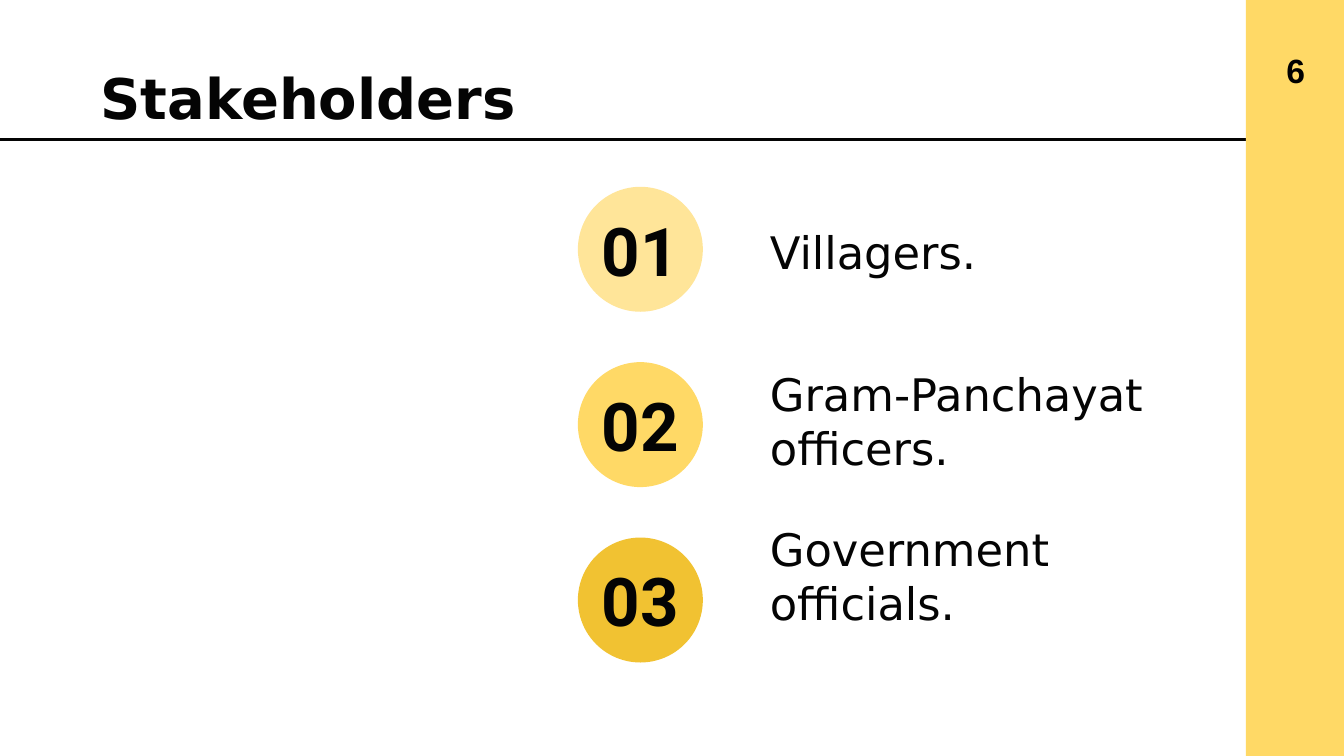
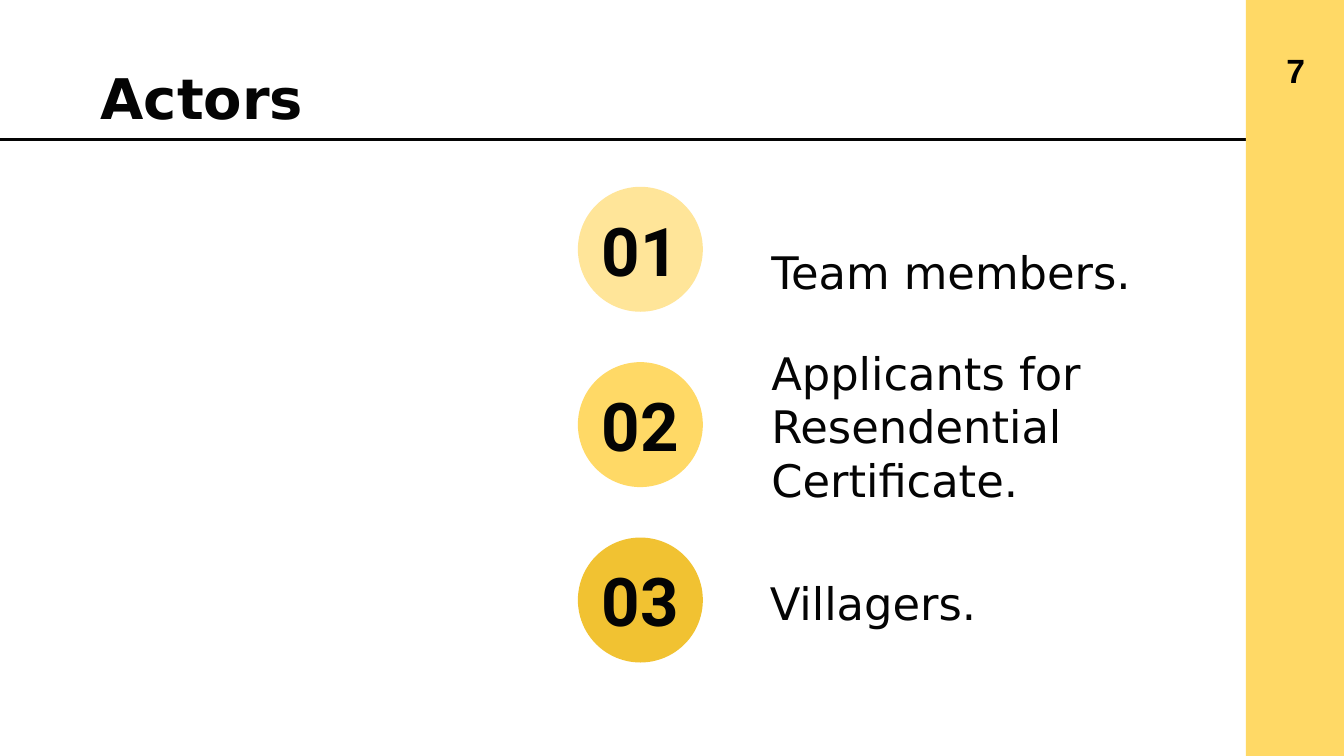
from lxml import etree
from pptx import Presentation
from pptx.dml.color import RGBColor
from pptx.enum import shapes, text
from pptx.oxml.ns import qn
from pptx.util import Inches, Pt

WIDTH = 10
HEIGHT = WIDTH * 9 / 16
BAND_LEFT = 9.27
RULE_Y = 1.04
DOT_LEFT, DOT_SIZE = 4.3, 0.93
FIRST_DOT_TOP, LAST_DOT_TOP = 1.39, 4
NUMBER_WIDTH, NUMBER_HEIGHT = 1.45, 0.63

INK = RGBColor(0x04, 0x04, 0x04)
BLACK = RGBColor(0, 0, 0)
PALE = RGBColor(0xFF, 0xE5, 0x99)
YELLOW = RGBColor(0xFF, 0xD9, 0x66)
GOLD = RGBColor(0xF1, 0xC2, 0x32)
DOT_COLORS = (PALE, YELLOW, GOLD)
DOT_STEP = (LAST_DOT_TOP - FIRST_DOT_TOP) / (len(DOT_COLORS) - 1)

SANS, NUMERAL, PAGE = "DejaVu Sans", "Roboto", "Arial"
TOP, MIDDLE, BOTTOM = (text.MSO_ANCHOR.TOP, text.MSO_ANCHOR.MIDDLE,
                       text.MSO_ANCHOR.BOTTOM)
LEFT, CENTER = text.PP_ALIGN.LEFT, text.PP_ALIGN.CENTER

# Page number, title, and each item's wording with its box
SLIDES = [
    (6, "Stakeholders", [
        ("Villagers.", (5.63, 1.04, 2.88, 1.13)),
        ("Gram-Panchayat officers.", (5.63, 2.46, 3.22, 1.17)),
        ("Government officials.", (5.63, 4, 2.64, 0.78)),
    ]),
    (7, "Actors", [
        ("Team members.", (5.64, 1.19, 2.88, 1.13)),
        ("Applicants for Resendential Certificate.", (5.64, 2.7, 3.45, 1.17)),
        ("Villagers.", (5.63, 4, 2.64, 0.78)),
    ]),
]


class Deck:
    """Holds the presentation, its style and the current slide."""

    def __init__(self):
        self.prs = Presentation()
        self.prs.slide_width = Inches(WIDTH)
        self.prs.slide_height = Inches(HEIGHT)
        self.s = None

    def new_slide(self):
        self.s = self.prs.slides.add_slide(self.prs.slide_layouts[6])

    def shape(self, kind, box, fill):
        sp = self.s.shapes.add_shape(kind, *map(Inches, box))
        sp.shadow.inherit = False
        sp.fill.solid()
        sp.fill.fore_color.rgb = fill
        sp.line.fill.background()

    def rule(self, y, right):
        ln = self.s.shapes.add_connector(
            shapes.MSO_CONNECTOR.STRAIGHT, 0, Inches(y), Inches(right), Inches(y))
        ln.line.color.rgb = INK
        ln.line.width = Pt(1.5)
        etree.SubElement(ln._element.spPr, qn("a:effectLst"))

    def text(self, words, box, *, size=24, font=SANS, color=INK, bold=False,
             align=LEFT, anchor=BOTTOM):
        tf = self.s.shapes.add_textbox(*map(Inches, box)).text_frame
        tf.word_wrap = True
        tf.vertical_anchor = anchor
        tf.margin_left = tf.margin_right = Inches(0.1)
        tf.margin_top = tf.margin_bottom = Inches(0.1)
        p = tf.paragraphs[0]
        p.alignment = align
        r = p.add_run()
        r.text = words
        r.font.name, r.font.size, r.font.bold = font, Pt(size), bold
        r.font.color.rgb = color

    def title(self, words):
        self.text(words, (0.65, 0.37, 4.75, 0.74), size=30, bold=True, anchor=TOP)

    def numbered_dot(self, index):
        top = FIRST_DOT_TOP + index * DOT_STEP
        self.shape(shapes.MSO_SHAPE.OVAL, (DOT_LEFT, top, DOT_SIZE, DOT_SIZE),
                   DOT_COLORS[index])
        box = (DOT_LEFT + (DOT_SIZE - NUMBER_WIDTH) / 2,
               top + (DOT_SIZE - NUMBER_HEIGHT) / 2, NUMBER_WIDTH, NUMBER_HEIGHT)
        self.text(f"{index + 1:02}", box, size=36, font=NUMERAL, bold=True,
                  align=CENTER, anchor=MIDDLE)

    def page_band(self, number):
        self.shape(shapes.MSO_SHAPE.RECTANGLE,
                   (BAND_LEFT, 0, WIDTH - BAND_LEFT, HEIGHT), YELLOW)
        self.text(str(number), (9.44, 0.31, 0.4, 0.43), size=18, font=PAGE,
                  color=BLACK, bold=True, align=CENTER, anchor=MIDDLE)


def main():
    deck = Deck()
    for number, title, items in SLIDES:
        deck.new_slide()
        deck.rule(RULE_Y, WIDTH)
        deck.title(title)
        for i, (words, box) in enumerate(items):
            deck.numbered_dot(i)
            deck.text(words, box)
        deck.page_band(number)
    deck.prs.save("out.pptx")


if __name__ == "__main__":
    main()
